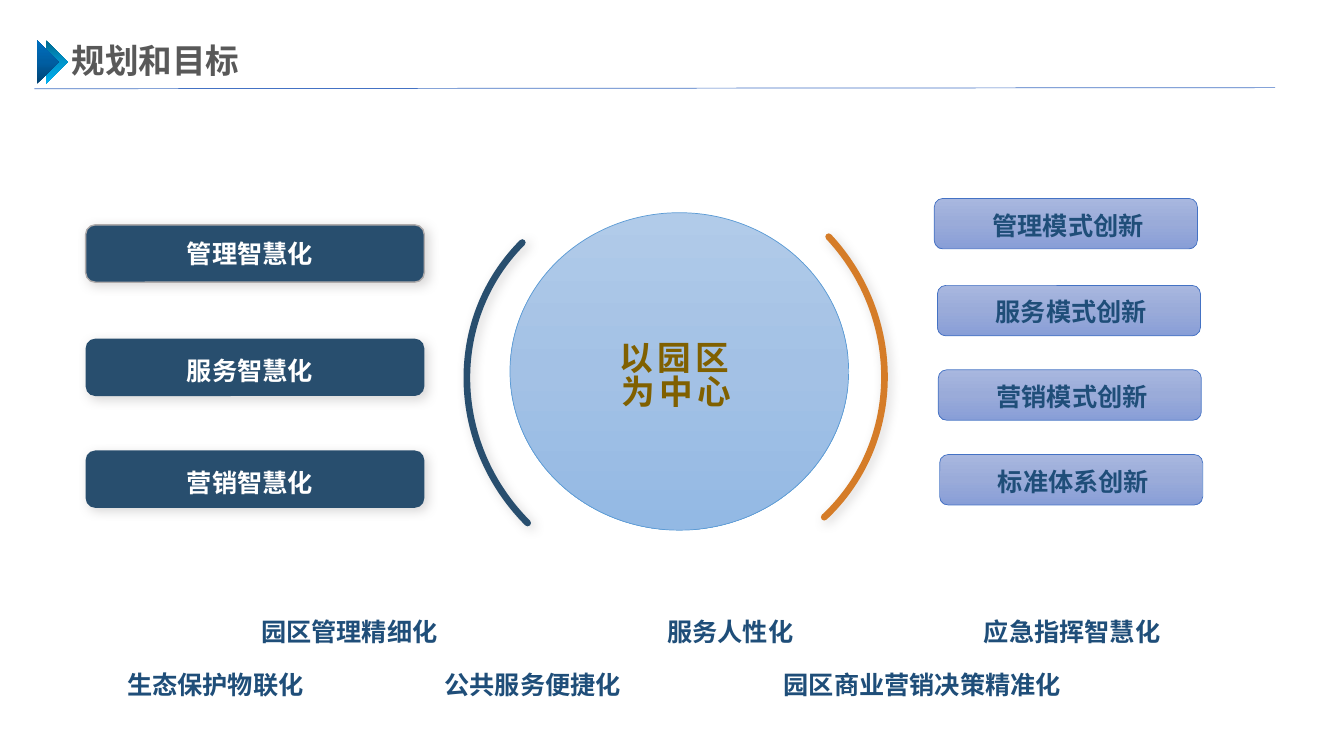
"""Build the planning and goals slide."""
from lxml import etree
from pptx import Presentation
from pptx.dml.color import RGBColor
from pptx.enum import shapes, text
from pptx.oxml import parse_xml
from pptx.oxml.ns import nsdecls, qn
from pptx.util import Pt

COLORS = {
    "title": "595959", "rule": "4472C4", "navy": "284E6E", "orange": "D57C28",
    "core": "806000", "core_edge": "5B9BD5", "label": "1F4E79",
    "white": "FFFFFF", "edge": "AFABAB", "shadow": "767171",
}
GRADIENTS = {
    "cyan": ("00688E", "0094CA", "00B0F0"),
    "blue": ("004272", "005EA2", "0070C0"),
    "core": ("B1CBE9", "A3C1E5", "93B9E4"),
    "innovation": ("A8B7DF", "9AABD9", "889ED7"),
}
KIND = shapes.MSO_SHAPE


class Board:
    """Hold the text style and the current slide, and draw each kind of element."""

    font = "Noto Sans CJK SC"

    def __init__(self, slide):
        self.slide = slide

    def color(self, name):
        return RGBColor.from_string(COLORS[name])

    def set_text(self, holder, words, size, color, align, spacing=0):
        frame = holder.text_frame
        frame.text = words
        frame.auto_size = text.MSO_AUTO_SIZE.NONE
        frame.vertical_anchor = text.MSO_ANCHOR.MIDDLE
        frame.word_wrap = True
        frame.margin_left = frame.margin_right = Pt(7.2)
        frame.margin_top = frame.margin_bottom = Pt(3.6)
        line = frame.paragraphs[0]
        line.alignment = align
        line.font.name = self.font
        line.font.size = Pt(size)
        line.font.bold = True
        line.font.color.rgb = self.color(color)
        properties = line.font._element
        etree.SubElement(properties, qn("a:ea")).set("typeface", self.font)
        if spacing:
            properties.set("spc", str(spacing * 100))
        return line

    def title(self, words, left, top, width, height):
        heading = self.slide.shapes.title
        heading.left, heading.top = Pt(left), Pt(top)
        heading.width, heading.height = Pt(width), Pt(height)
        self.set_text(heading, words, 24, "title", text.PP_ALIGN.LEFT)
        heading.text_frame.word_wrap = False

    def label(self, words, left, top, width, height=28.8, color="label", size=18, spacing=0):
        box = self.slide.shapes.add_textbox(Pt(left), Pt(top), Pt(width), Pt(height))
        return self.set_text(box, words, size, color, text.PP_ALIGN.CENTER, spacing)

    def shape(self, kind, left, top, width, height, fill=None, line=None, weight=0.5,
              rotation=0):
        item = self.slide.shapes.add_shape(kind, Pt(left), Pt(top), Pt(width), Pt(height))
        item.shadow.inherit = False
        item.rotation = rotation
        if fill:
            item.fill.solid()
            item.fill.fore_color.rgb = self.color(fill)
        else:
            item.fill.background()
        if line:
            item.line.color.rgb = self.color(line)
            item.line.width = Pt(weight)
        else:
            item.line.fill.background()
        return item

    def blend(self, item, gradient, angle):
        stops = "".join(
            f'<a:gs pos="{50000 * i}"><a:srgbClr val="{shade}"/></a:gs>'
            for i, shade in enumerate(GRADIENTS[gradient]))
        properties = item._element.spPr
        properties.replace(properties.find(qn("a:noFill")), parse_xml(
            f'<a:gradFill {nsdecls("a")} rotWithShape="1"><a:gsLst>{stops}</a:gsLst>'
            f'<a:lin ang="{angle * 60000}" scaled="0"/></a:gradFill>'))

    def cast_shadow(self, item):
        item._element.spPr.find(qn("a:effectLst")).append(parse_xml(
            f'<a:outerShdw {nsdecls("a")} blurRad="{Pt(8)}" dist="{Pt(3)}" dir="2700000" '
            f'algn="tl" rotWithShape="0"><a:srgbClr val="{COLORS["shadow"]}">'
            '<a:alpha val="28000"/></a:srgbClr></a:outerShdw>'))

    def arc(self, left, top, rotation, color):
        curve = self.shape(KIND.ARC, left, top, 277.9, 288.7, line=color, weight=4.75,
                           rotation=rotation)
        curve._element.spPr.find(qn("a:xfrm")).set("flipH", "1")
        curve._element.spPr.find(qn("a:ln")).set("cap", "rnd")
        self.cast_shadow(curve)

    def rule(self, x1, y1, x2, y2):
        divider = self.slide.shapes.add_connector(
            shapes.MSO_CONNECTOR.STRAIGHT, Pt(x1), Pt(y1), Pt(x2), Pt(y2))
        divider.line.color.rgb = self.color("rule")
        divider.line.width = Pt(0.5)
        etree.SubElement(divider._element.spPr, qn("a:effectLst"))


def main():
    deck = Presentation()
    deck.slide_width, deck.slide_height = Pt(960), Pt(540)
    board = Board(deck.slides.add_slide(deck.slide_layouts[5]))

    for left, gradient, angle in ((21.6, "cyan", 225), (15.1, "blue", 45)):
        chevron = board.shape(KIND.RIGHT_TRIANGLE, left, 33.1, 22.3, 22.3, rotation=225)
        board.blend(chevron, gradient, angle)
    board.rule(24.5, 63.4, 910.8, 62.6)
    board.title("规划和目标", 43.9, 25.2, 135.4, 36)

    board.arc(336.2, 131, 315, "navy")
    board.arc(351.4, 119.5, 137, "orange")
    core = board.shape(KIND.OVAL, 364.3, 151.9, 241.9, 226.8, line="core_edge")
    board.blend(core, "core", 90)
    center = board.label("以园区为中心", 433.4, 236.9, 99.4, 65.5, "core", 24, 3)
    center.line_spacing = 0.84

    for goal, top, drop, edge in (("管理智慧化", 160.6, 5.8, "edge"),
                                  ("服务智慧化", 241.9, 8.6, None),
                                  ("营销智慧化", 321.8, 8.6, None)):
        bar = board.shape(KIND.ROUNDED_RECTANGLE, 61.2, top, 241.9, 41, "navy", edge, 1)
        board.cast_shadow(bar)
        board.label(goal, 61.2, top + drop, 234.7, color="white")

    for innovation, left, top in (("管理模式创新", 667.4, 141.8), ("服务模式创新", 669.6, 203.9),
                                  ("营销模式创新", 670.2, 264.2), ("标准体系创新", 671.2, 324.7)):
        tile = board.shape(KIND.ROUNDED_RECTANGLE, left, top, 187.9, 36, line="rule")
        board.blend(tile, "innovation", 90)
        board.label(innovation, left + 2.3, top + 4.5, 186.5)

    outcomes = {
        437: (("园区管理精细化", 156.2, 186.5), ("服务人性化", 428.4, 186.5),
              ("应急指挥智慧化", 672.5, 186.5)),
        474.5: (("生态保护物联化", 60.5, 186.5), ("公共服务便捷化", 287.3, 186.5),
                ("园区商业营销决策精准化", 542.9, 231.8)),
    }
    for top, row in outcomes.items():
        for outcome, left, width in row:
            board.label(outcome, left, top, width)

    deck.save("out.pptx")


if __name__ == "__main__":
    main()
